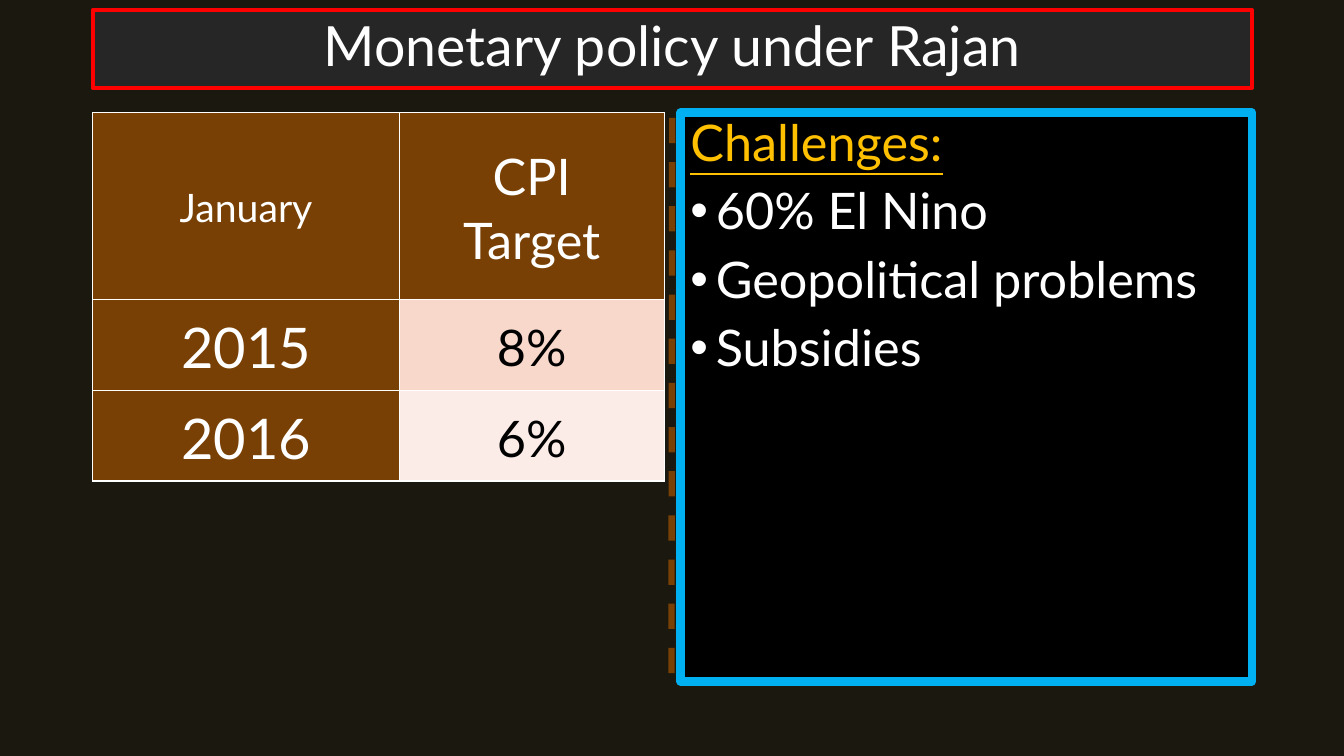
"""Build a slide on monetary policy with a target table and a list of challenges."""
from dataclasses import dataclass

from lxml import etree
from pptx import Presentation
from pptx.dml.color import RGBColor
from pptx.enum.dml import MSO_LINE
from pptx.enum.shapes import MSO_CONNECTOR, MSO_SHAPE
from pptx.enum.text import MSO_ANCHOR, MSO_AUTO_SIZE, PP_ALIGN
from pptx.oxml.ns import qn
from pptx.slide import Slide
from pptx.util import Cm, Pt

DASH = MSO_LINE.DASH
STRAIGHT = MSO_CONNECTOR.STRAIGHT
RECT = MSO_SHAPE.RECTANGLE
TOP, MIDDLE = MSO_ANCHOR.TOP, MSO_ANCHOR.MIDDLE
NO_FIT = MSO_AUTO_SIZE.NONE
LEFT, CENTER = PP_ALIGN.LEFT, PP_ALIGN.CENTER

NIGHT = RGBColor(0x1B, 0x18, 0x10)
BROWN = RGBColor(0x78, 0x40, 0x04)
GREY = RGBColor(0x26, 0x26, 0x26)
BLACK = RGBColor(0, 0, 0)
WHITE = RGBColor(0xFF, 0xFF, 0xFF)
RED = RGBColor(0xFF, 0, 0)
BLUE = RGBColor(0, 0xB0, 0xF0)
GOLD = RGBColor(0xFF, 0xC0, 0)
ROSE = RGBColor(0xF9, 0xD8, 0xCC)
BLUSH = RGBColor(0xFC, 0xEC, 0xE7)


@dataclass
class Entry:
    text: str
    size: float = 36
    color: RGBColor = WHITE
    under: bool = False
    bullet: bool = False


@dataclass
class Field:
    lines: list[Entry]
    fill: RGBColor = BROWN


@dataclass
class Panel:
    box: tuple[float, float, float, float]
    fill: RGBColor
    edge: RGBColor
    width: float
    anchor: MSO_ANCHOR
    align: PP_ALIGN
    lines: list[Entry]


TITLE = Panel((2.34, 0.25, 29.21, 1.96), GREY, RED, 3, MIDDLE, CENTER,
              [Entry("Monetary policy under Rajan", 39.6)])
ISSUES = Panel((17.15, 2.84, 14.4, 14.33), BLACK, BLUE, 6, TOP, LEFT,
               [Entry("Challenges:", color=GOLD, under=True),
                Entry("60% El Nino", bullet=True),
                Entry("Geopolitical problems", bullet=True),
                Entry("Subsidies", bullet=True)])
GOALS = [
    [Field([Entry("January", 28)]), Field([Entry("CPI"), Entry("Target")])],
    [Field([Entry("2015", 40)]), Field([Entry("8%", color=BLACK)], ROSE)],
    [Field([Entry("2016", 40)]), Field([Entry("6%", color=BLACK)], BLUSH)],
]
COLS = (7.72, 6.68)
ROWS = (4.7, 2.29, 2.29)


def apply(item: object, form: dict) -> None:
    """Set each attribute in form on item."""
    for name, value in form.items():
        setattr(item, name, value)


def write(frame, lines: list[Entry], align: PP_ALIGN, pitch: float) -> None:
    """Fill a text frame with one paragraph per entry."""
    for pos, entry in enumerate(lines):
        para = frame.add_paragraph() if pos else frame.paragraphs[0]
        if entry.bullet:
            props = para._p.get_or_add_pPr()
            props.set("marL", str(Cm(0.64)))
            props.set("indent", str(Cm(-0.64)))
            etree.SubElement(props, qn("a:buFont"), typeface="Arial")
            etree.SubElement(props, qn("a:buChar"), char="•")
        gap = Pt(10 if pos and align == LEFT else 0)
        apply(para, {"alignment": align, "line_spacing": pitch, "space_before": gap})
        run = para.add_run()
        run.text = entry.text
        apply(run.font, {"name": "Lato", "size": Pt(entry.size), "bold": False,
                         "underline": entry.under})
        run.font.color.rgb = entry.color


def dress(shape, panel: Panel) -> None:
    """Place, colour and fill a text panel."""
    names = ("left", "top", "width", "height")
    apply(shape, dict(zip(names, map(Cm, panel.box))))
    shape.fill.solid()
    shape.fill.fore_color.rgb = panel.fill
    shape.line.color.rgb = panel.edge
    shape.line.width = Pt(panel.width)
    etree.SubElement(shape.line._get_or_add_ln(), qn("a:round"))
    shape.shadow.inherit = False
    apply(shape.text_frame, {"word_wrap": True, "auto_size": NO_FIT,
                             "vertical_anchor": panel.anchor})
    write(shape.text_frame, panel.lines, panel.align, 0.9)


def border(cell) -> None:
    """Give a cell thin white edges on all sides."""
    props = cell._tc.get_or_add_tcPr()
    for side in ("lnL", "lnR", "lnT", "lnB"):
        edge = etree.SubElement(props, qn(f"a:{side}"), w=str(Pt(1)))
        fill = etree.SubElement(edge, qn("a:solidFill"))
        etree.SubElement(fill, qn("a:srgbClr"), val=str(WHITE))


def divide(slide: Slide) -> None:
    """Draw the dashed line between the halves."""
    line = slide.shapes.add_connector(STRAIGHT, Cm(16.94), Cm(2.97), Cm(16.92), Cm(17.42))
    line.line.color.rgb = BROWN
    apply(line.line, {"width": Pt(4.5), "dash_style": DASH})
    etree.SubElement(line._element.spPr, qn("a:effectLst"))


def tabulate(slide: Slide) -> None:
    """Draw the table of inflation targets."""
    table = slide.shapes.add_table(len(ROWS), len(COLS), Cm(2.34), Cm(2.84),
                                   Cm(sum(COLS)), Cm(sum(ROWS))).table
    apply(table, {"first_row": True, "horz_banding": False})
    for col, width in zip(table.columns, COLS):
        col.width = Cm(width)
    for row, height, fields in zip(table.rows, ROWS, GOALS):
        row.height = Cm(height)
        for cell, field in zip(row.cells, fields):
            border(cell)
            cell.fill.solid()
            cell.fill.fore_color.rgb = field.fill
            apply(cell, {"vertical_anchor": MIDDLE, "margin_left": Cm(0.23),
                         "margin_right": Cm(0.23), "margin_top": 0, "margin_bottom": 0})
            write(cell.text_frame, field.lines, CENTER, 1.07)


def main() -> None:
    """Build and save the deck."""
    deck = Presentation()
    apply(deck, {"slide_width": Cm(33.87), "slide_height": Cm(19.05)})
    slide = deck.slides.add_slide(deck.slide_layouts.get_by_name("Title Only"))
    slide.background.fill.solid()
    slide.background.fill.fore_color.rgb = NIGHT
    divide(slide)
    tabulate(slide)
    dress(slide.shapes.add_shape(RECT, 0, 0, 0, 0), ISSUES)
    dress(slide.shapes.title, TITLE)
    deck.save("out.pptx")


if __name__ == "__main__":
    main()
